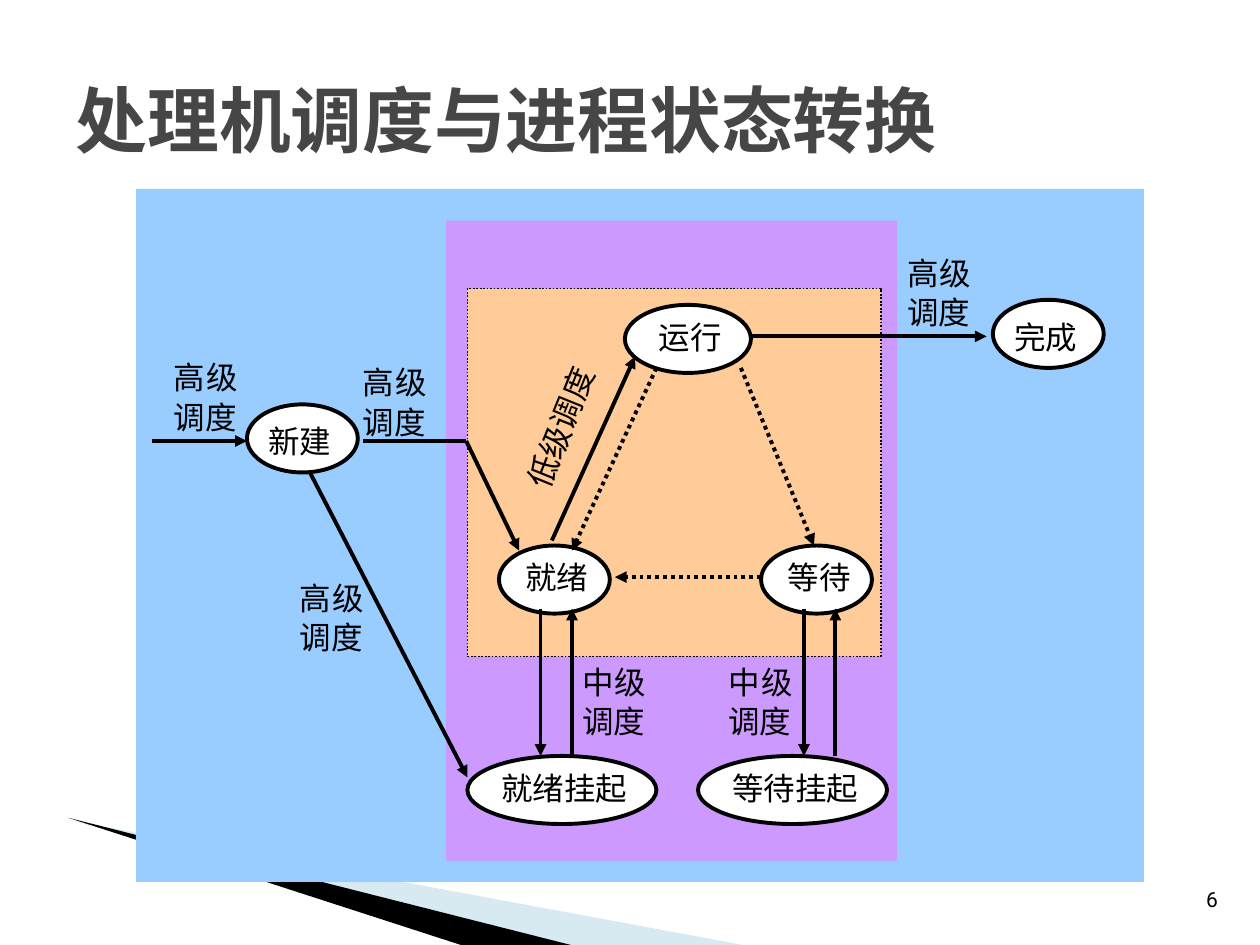
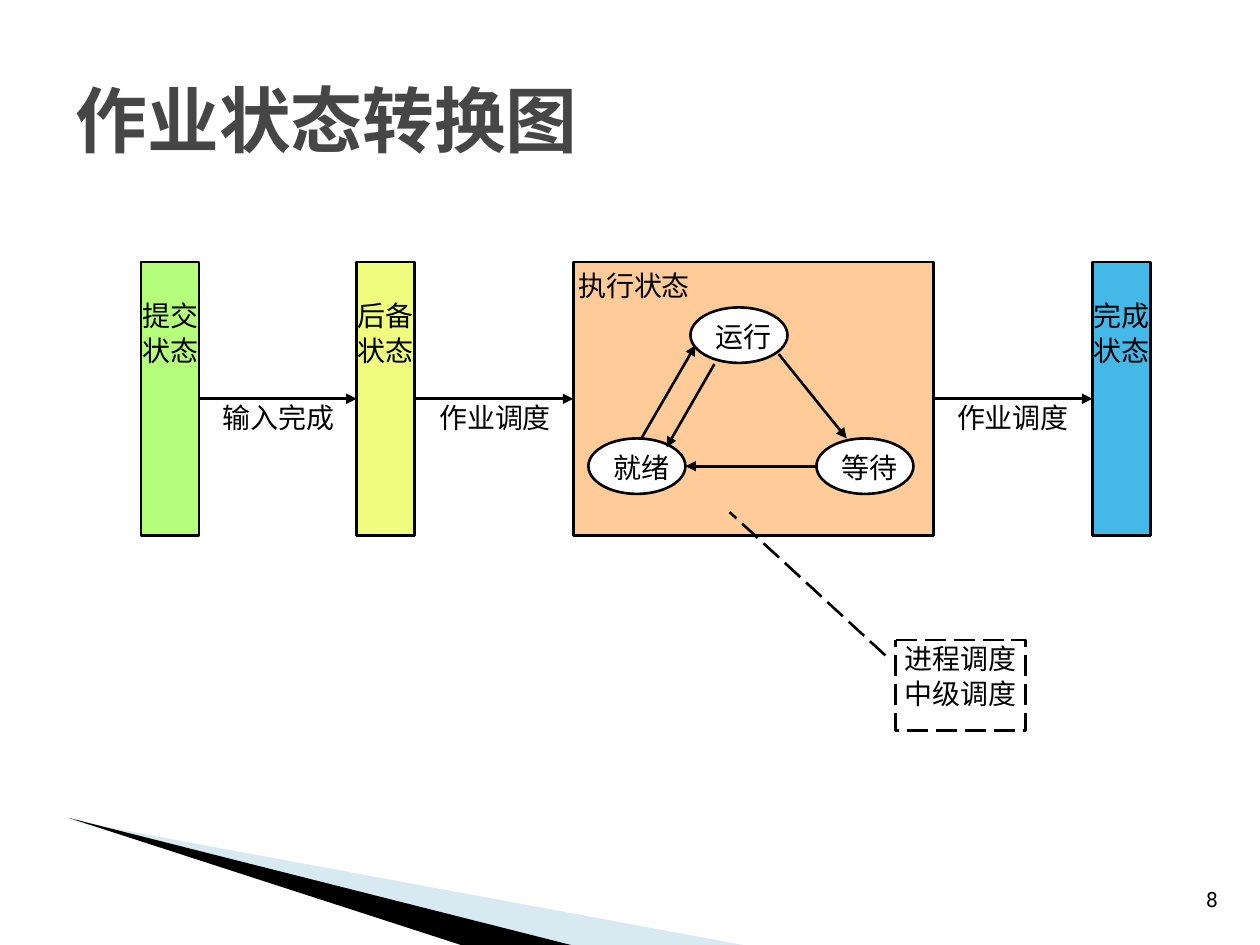
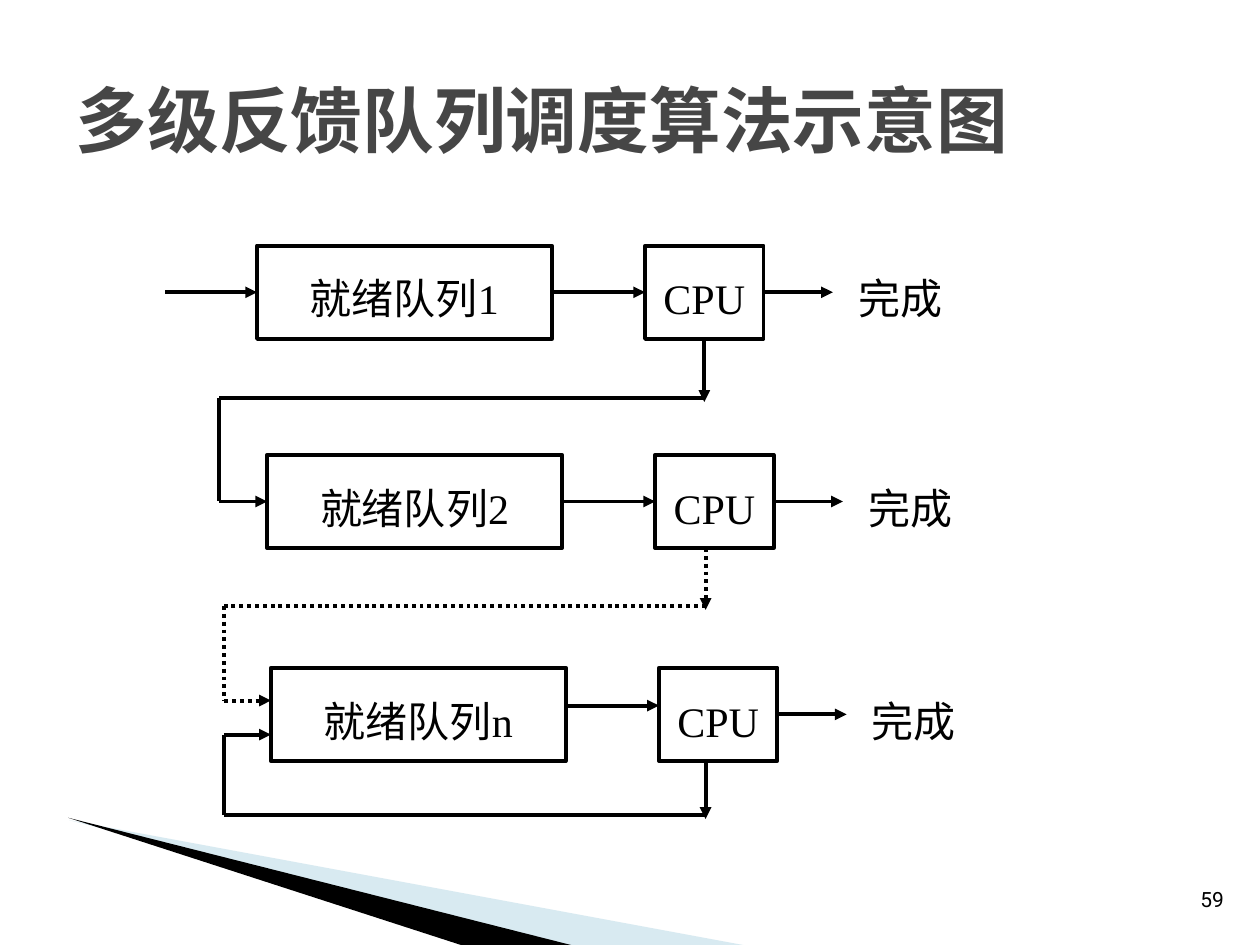
from lxml import etree
from pptx import Presentation
from pptx.dml.color import RGBColor
from pptx.enum.dml import MSO_LINE
from pptx.enum.shapes import MSO_CONNECTOR, MSO_SHAPE
from pptx.enum.text import MSO_ANCHOR, MSO_AUTO_SIZE, PP_ALIGN
from pptx.oxml.ns import qn
from pptx.util import Inches, Pt

BLACK = RGBColor(0x00, 0x00, 0x00)
WHITE = RGBColor(0xFF, 0xFF, 0xFF)
TITLE_GRAY = RGBColor(0x46, 0x46, 0x46)
WEDGE_BLUE = RGBColor(0x9F, 0xCB, 0xDC)
SKY = RGBColor(0x99, 0xCC, 0xFF)
VIOLET = RGBColor(0xCC, 0x99, 0xFF)
PEACH = RGBColor(0xFF, 0xCC, 0x99)
GREEN = RGBColor(0xB4, 0xFE, 0x7C)
YELLOW = RGBColor(0xF0, 0xFC, 0x7E)
BLUE = RGBColor(0x44, 0xB9, 0xE8)

SERIF = "Times New Roman"
CJK = "Noto Sans CJK SC"
TITLE_FONT = "Noto Sans Mono"
NUMBER_FONT = "Roboto"

RECTANGLE, ELLIPSE = MSO_SHAPE.RECTANGLE, MSO_SHAPE.OVAL
CALLOUT = MSO_SHAPE.LINE_CALLOUT_1
DOTTED, DASHED = MSO_LINE.ROUND_DOT, MSO_LINE.LONG_DASH
LEFT, CENTER, JUSTIFY = PP_ALIGN.LEFT, PP_ALIGN.CENTER, PP_ALIGN.JUSTIFY
TOP, MIDDLE = MSO_ANCHOR.TOP, MSO_ANCHOR.MIDDLE
SIDE_LEFT, SIDE_BOTTOM, SIDE_RIGHT = 1, 2, 3
LINE_HEIGHT = 1.25
TITLE_ONLY = 5


def write_text(shape, text, *, size=18, font=SERIF, color=BLACK, bold=False,
               align=CENTER, anchor=TOP, insets=(0, 0, 0, 0), wrap=True):
    frame = shape.text_frame
    frame.auto_size = MSO_AUTO_SIZE.NONE
    frame.word_wrap = wrap
    frame.vertical_anchor = anchor
    (frame.margin_left, frame.margin_top,
     frame.margin_right, frame.margin_bottom) = map(Inches, insets)
    frame.text = text
    for paragraph in frame.paragraphs:
        paragraph.alignment = align
        paragraph.line_spacing = Pt(size * LINE_HEIGHT)
        for run in paragraph.runs:
            run.font.size = Pt(size)
            run.font.bold = bold
            run.font.color.rgb = color
            run.font.name = font
            properties = run.font._element
            east_asian = etree.SubElement(properties, qn("a:ea"))
            east_asian.set("typeface", CJK)


def add_label(slide, text, left, top, width, height, **text_format):
    label = slide.shapes.add_textbox(*map(Inches, (left, top, width, height)))
    write_text(label, text, **text_format)
    return label


def add_box(slide, kind, left, top, width, height, *, fill=WHITE, line=2.25,
            dash=None, text="", **text_format):
    """Add a preset shape; fill or line may be None for none."""
    box = slide.shapes.add_shape(kind, *map(Inches, (left, top, width, height)))
    box.shadow.inherit = False
    if fill is None:
        box.fill.background()
    else:
        box.fill.solid()
        box.fill.fore_color.rgb = fill
    if line is None:
        box.line.fill.background()
    else:
        box.line.color.rgb = BLACK
        box.line.width = Pt(line)
        if dash is not None:
            box.line.dash_style = dash
    if text:
        write_text(box, text, **text_format)
    return box


def add_line(slide, start, end, *, width=2.25, dash=None, arrow=True):
    connector = slide.shapes.add_connector(
        MSO_CONNECTOR.STRAIGHT, *map(Inches, (*start, *end)))
    connector.line.color.rgb = BLACK
    connector.line.width = Pt(width)
    if dash is not None:
        connector.line.dash_style = dash
    properties = connector._element.spPr
    if arrow:
        tail = etree.SubElement(properties.find(qn("a:ln")), qn("a:tailEnd"))
        tail.set("type", "triangle")
    etree.SubElement(properties, qn("a:effectLst"))
    return connector


def join(slide, source, target, **line_format):
    """Arrow from the right side of one box to the left side of the next."""
    connector = add_line(slide, (0, 0), (1, 1), **line_format)
    connector.begin_connect(source, SIDE_RIGHT)
    connector.end_connect(target, SIDE_LEFT)


def add_wedge(slide, points, color, opacity=None):
    start, *others = [tuple(map(Inches, point)) for point in points]
    builder = slide.shapes.build_freeform(*start)
    builder.add_line_segments(others)
    wedge = builder.convert_to_shape()
    wedge.shadow.inherit = False
    wedge.fill.solid()
    wedge.fill.fore_color.rgb = color
    wedge.line.fill.background()
    if opacity is not None:
        color_element = wedge._element.spPr.find(qn("a:solidFill"))[0]
        alpha = etree.SubElement(color_element, qn("a:alpha"))
        alpha.set("val", str(opacity * 1000))


def add_titled_slide(presentation, title, number):
    slide = presentation.slides.add_slide(presentation.slide_layouts[TITLE_ONLY])
    add_wedge(slide, [(0.55, 6.51), (5.95, 7.51), (4.56, 7.51)], WEDGE_BLUE, 40)
    add_wedge(slide, [(0.54, 6.49), (4.57, 7.51), (3.72, 7.52)], BLACK)
    add_label(slide, str(number), 9.42, 6.98, 0.4, 0.3, size=12,
              font=NUMBER_FONT, anchor=MIDDLE, wrap=False)
    heading = slide.shapes.title
    heading.left, heading.top = Inches(0.5), Inches(0.3)
    heading.width, heading.height = Inches(9), Inches(1.25)
    write_text(heading, title, size=41, font=TITLE_FONT, color=TITLE_GRAY,
               bold=True, align=LEFT, anchor=MIDDLE, insets=(0.1, 0.05, 0.1, 0.05))
    return slide


def build_process_states(presentation):
    slide = add_titled_slide(presentation, "处理机调度与进程状态转换", 6)
    add_box(slide, RECTANGLE, 1.08, 1.5, 8, 5.5, fill=SKY, line=None)
    add_box(slide, RECTANGLE, 3.54, 1.75, 3.58, 5.08, fill=VIOLET, line=None)
    add_box(slide, RECTANGLE, 3.71, 2.29, 3.28, 2.92, fill=PEACH, line=1, dash=DOTTED)

    tight, loose = (0.04, 0.01, 0, 0), (0.04, 0.05, 0.02, 0.05)
    for text, left, top, width, align, insets in [
        ("等待", 6.04, 4.33, 0.88, CENTER, tight),
        ("就绪", 3.96, 4.33, 0.88, CENTER, tight),
        ("运行", 4.96, 2.42, 1, CENTER, tight),
        ("就绪挂起", 3.71, 6, 1.5, CENTER, tight),
        ("等待挂起", 5.54, 6, 1.5, CENTER, tight),
        ("完成", 7.88, 2.38, 0.88, JUSTIFY, loose),
        ("新建", 1.96, 3.21, 0.88, JUSTIFY, loose),
    ]:
        add_box(slide, ELLIPSE, left, top, width, 0.54, text=text,
                align=align, insets=insets)

    add_line(slide, (2.88, 3.5), (3.7, 3.5), arrow=False)
    for start, end in [
        ((1.21, 3.5), (1.96, 3.5)),
        ((3.7, 3.5), (4.12, 4.37)),
        ((2.46, 3.75), (3.71, 6.17)),
        ((4.38, 4.29), (5.04, 2.83)),
        ((5.96, 2.67), (7.83, 2.67)),
    ]:
        add_line(slide, start, end)
    for start, end in [
        ((5.21, 2.92), (4.54, 4.37)),
        ((5.88, 2.92), (6.46, 4.33)),
        ((6.04, 4.58), (4.88, 4.58)),
    ]:
        add_line(slide, start, end, dash=DOTTED)
    for suspend_x in (4.29, 6.38):
        resume_x = suspend_x + 0.25
        add_line(slide, (suspend_x, 4.83), (suspend_x, 6))
        add_line(slide, (resume_x, 6), (resume_x, 4.83))

    for text, left, top in [
        ("高级调度", 1.38, 2.83), ("高级调度", 2.88, 2.87),
        ("高级调度", 2.38, 4.58), ("高级调度", 7.2, 2),
        ("中级调度", 4.62, 5.25), ("中级调度", 5.78, 5.25),
    ]:
        add_label(slide, text, left, top, 0.51, 0.55, align=JUSTIFY)
    low_level = add_label(slide, "低级调度", 3.93, 3.2, 1.06, 0.33, align=JUSTIFY)
    low_level.rotation = 292


def build_job_states(presentation):
    slide = add_titled_slide(presentation, "作业状态转换图", 8)
    top, height, thin = 2.08, 2.17, 1.5
    running = add_box(slide, RECTANGLE, 4.55, top, 2.86, height, fill=PEACH,
                      line=thin, text="执行状态", size=16, align=JUSTIFY,
                      insets=(0.04, 0.04, 0, 0))
    for text, left, node_top in [("运行", 5.48, 2.44), ("就绪", 4.67, 3.48),
                                 ("等待", 6.48, 3.48)]:
        add_box(slide, ELLIPSE, left, node_top, 0.77, 0.44, line=thin, text=text,
                size=16, font=CJK, insets=(0.07, 0.02, 0, 0))
    for start, end in [
        ((5.09, 3.48), (5.52, 2.74)),
        ((5.67, 2.89), (5.29, 3.55)),
        ((6.18, 2.81), (6.72, 3.48)),
        ((6.48, 3.7), (5.44, 3.7)),
    ]:
        add_line(slide, start, end, width=thin)

    submitted, waiting, finished = [
        add_box(slide, RECTANGLE, left, top, 0.46, height, fill=fill, line=thin,
                text=text, size=16, font=CJK, insets=(0, 0.28, 0, 0))
        for text, left, fill in [("提交状态", 1.12, GREEN), ("后备状态", 2.83, YELLOW),
                                 ("完成状态", 8.67, BLUE)]
    ]
    for source, target, text, left in [
        (submitted, waiting, "输入完成", 1.58),
        (waiting, running, "作业调度", 3.3),
        (running, finished, "作业调度", 7.41),
    ]:
        join(slide, source, target, width=thin)
        add_label(slide, text, left, 3.17, 1.26, 0.36, size=16, font=CJK)

    callout = add_box(slide, CALLOUT, 7.11, 5.08, 1.03, 0.72, fill=None, line=thin,
                      dash=DASHED, text="进程调度\n中级调度", size=16, font=CJK)
    for index, value in enumerate((0.17, -0.08, -1.41, -1.28)):
        callout.adjustments[index] = value


def add_feedback(slide, drop_x, start_y, turn_y, return_x, entry, dash=None):
    """Lead from below a CPU round to the entry point of a queue."""
    drop = add_line(slide, (drop_x, start_y), (drop_x, turn_y + 0.03), dash=dash)
    add_line(slide, (drop_x, turn_y), (return_x, turn_y), dash=dash, arrow=False)
    add_line(slide, (return_x, turn_y), (return_x, entry[1]), dash=dash, arrow=False)
    enter = add_line(slide, (return_x, entry[1]), entry, dash=dash)
    return drop, enter


def build_feedback_queues(presentation):
    slide = add_titled_slide(presentation, "多级反馈队列调度算法示意图", 59)
    height, cpu_width = 0.74, 0.94
    insets = (0.02, 0.2, 0.02, 0.01)
    queues, cpus = [], []
    for name, left, top in [("1", 2.04, 1.95), ("2", 2.12, 3.61), ("n", 2.15, 5.3)]:
        cpu_left = left + 3.08
        middle = top + height / 2
        queue = add_box(slide, RECTANGLE, left, top, 2.34, height,
                        text=f"就绪队列{name}", size=24, insets=insets)
        cpu = add_box(slide, RECTANGLE, cpu_left, top, cpu_width, height,
                      text="CPU", size=24, insets=insets)
        if name == "n":
            add_line(slide, (left + 2.34, 5.6), (cpu_left, 5.6))
        else:
            join(slide, queue, cpu)
        leave = add_line(slide, (cpu_left + cpu_width, middle),
                         (cpu_left + 1.49, middle))
        leave.begin_connect(cpu, SIDE_RIGHT)
        add_label(slide, "完成", left + 4.75, top, 0.76, 0.64, size=24,
                  align=JUSTIFY, insets=insets)
        queues.append(queue)
        cpus.append(cpu)

    arrival = add_line(slide, (1.31, 2.32), (2.04, 2.32))
    arrival.end_connect(queues[0], SIDE_LEFT)
    drop, enter = add_feedback(slide, 5.59, 2.69, 3.16, 1.74, (2.12, 3.98))
    drop.begin_connect(cpus[0], SIDE_BOTTOM)
    enter.end_connect(queues[1], SIDE_LEFT)
    add_feedback(slide, 5.6, 4.35, 4.81, 1.78, (2.15, 5.56), DOTTED)
    add_feedback(slide, 5.6, 6.03, 6.47, 1.78, (2.15, 5.83))


def main():
    presentation = Presentation()
    presentation.slide_width, presentation.slide_height = Inches(10), Inches(7.5)
    build_process_states(presentation)
    build_job_states(presentation)
    build_feedback_queues(presentation)
    presentation.save("out.pptx")


if __name__ == "__main__":
    main()
